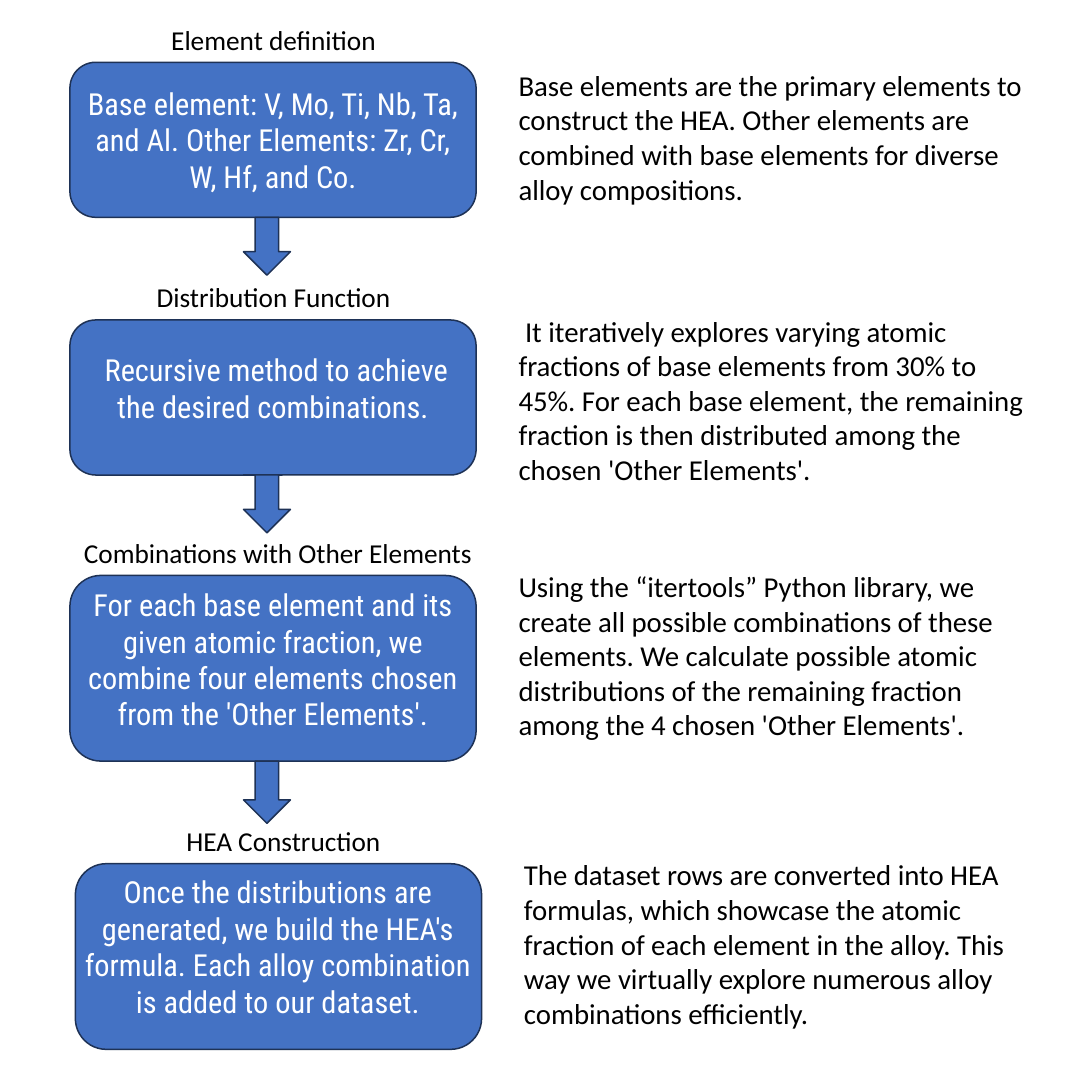
import pptx
import pptx.util
import pptx.dml.color
import pptx.enum.shapes
import pptx.enum.text

Inches = pptx.util.Inches
MSO_SHAPE = pptx.enum.shapes.MSO_SHAPE
PP_ALIGN = pptx.enum.text.PP_ALIGN
BLUE = pptx.dml.color.RGBColor(0x44, 0x72, 0xC4)
NAVY = pptx.dml.color.RGBColor(0x1E, 0x32, 0x56)
WHITE = pptx.dml.color.RGBColor(0xFF, 0xFF, 0xFF)
BLACK = pptx.dml.color.RGBColor(0x00, 0x00, 0x00)

BOX_WIDTH = 3.72
NOTE_WIDTH = 4.91
NOTE_OFFSET = 4.01  # from the left of a box to the left of its explanation
ARROW_LEFT, ARROW_WIDTH = 2.23, 0.43

presentation = pptx.Presentation()
presentation.slide_width = Inches(10)
presentation.slide_height = Inches(10)
slide = presentation.slides.add_slide(presentation.slide_layouts[6])


def add_blue_shape(kind, left, top, width, height):
    shape = slide.shapes.add_shape(
        kind, Inches(left), Inches(top), Inches(width), Inches(height))
    shape.shadow.inherit = False
    shape.fill.solid()
    shape.fill.fore_color.rgb = BLUE
    shape.line.color.rgb = NAVY
    shape.line.width = pptx.util.Pt(1)


def add_text(text, area, font_name, size, color, alignment):
    left, top, width, height = area
    text_box = slide.shapes.add_textbox(
        Inches(left), Inches(top), Inches(width), Inches(height))
    text_box.text_frame.word_wrap = True
    text_box.text_frame.text = text
    paragraph = text_box.text_frame.paragraphs[0]
    paragraph.alignment = alignment
    font = paragraph.runs[0].font
    font.name = font_name
    font.size = pptx.util.Pt(size)
    font.color.rgb = color


# Each step: box left, top, height; arrow height; then text and area
# (left, top, width, height) of the heading and of the box text;
# then text, top and height of the explanation
steps = [
    (0.64, 0.57, 1.42, 0.53,
     "Element definition", (1.41, 0.16, 2.19, 0.41),
     "Base element: V, Mo, Ti, Nb, Ta, and Al. Other Elements: Zr, Cr, W, Hf, and Co.",
     (0.64, 0.73, 3.72, 0.98),
     "Base elements are the primary elements to construct the HEA. Other elements are "
     "combined with base elements for diverse alloy compositions.", 0.57, 1.38),
    (0.64, 2.93, 1.42, 0.53,
     "Distribution Function", (1.27, 2.52, 2.47, 0.4),
     " Recursive method to achieve the desired combinations.",
     (0.64, 3.17, 3.72, 0.77),
     " It iteratively explores varying atomic fractions of base elements from 30% to 45%. "
     "For each base element, the remaining fraction is then distributed among the chosen "
     "'Other Elements'.", 2.82, 1.7),
    (0.64, 5.27, 1.7, 0.57,
     "Combinations with Other Elements", (0.64, 4.86, 3.81, 0.4),
     "For each base element and its given atomic fraction, we combine four elements "
     "chosen from the 'Other Elements'.",
     (0.64, 5.32, 3.72, 1.45),
     "Using the “itertools” Python library, we create all possible combinations of these "
     "elements. We calculate possible atomic distributions of the remaining fraction among "
     "the 4 chosen 'Other Elements'.", 5.16, 1.7),
    (0.69, 7.91, 1.7, None,
     "HEA Construction", (0.69, 7.5, 3.81, 0.4),
     "Once the distributions are generated, we build the HEA's formula. Each alloy "
     "combination is added to our dataset.",
     (0.64, 7.95, 3.81, 1.45),
     "The dataset rows are converted into HEA formulas, which showcase the atomic fraction "
     "of each element in the alloy. This way we virtually explore numerous alloy "
     "combinations efficiently.", 7.8, 1.7),
]

for (left, top, height, arrow_height, heading, heading_area,
     body, body_area, note, note_top, note_height) in steps:
    # Box with its text
    add_blue_shape(MSO_SHAPE.FLOWCHART_ALTERNATE_PROCESS, left, top, BOX_WIDTH, height)
    add_text(body, body_area, "Roboto Condensed", 20, WHITE, PP_ALIGN.CENTER)

    # Explanation on the right and heading above the box
    note_area = (left + NOTE_OFFSET, note_top, NOTE_WIDTH, note_height)
    add_text(note, note_area, "Calibri", 19, BLACK, PP_ALIGN.LEFT)
    add_text(heading, heading_area, "Calibri", 18, BLACK, PP_ALIGN.CENTER)

    # Arrow from the bottom of the box to the next step
    if arrow_height:
        add_blue_shape(MSO_SHAPE.DOWN_ARROW, ARROW_LEFT, top + height,
                       ARROW_WIDTH, arrow_height)

presentation.save("out.pptx")
